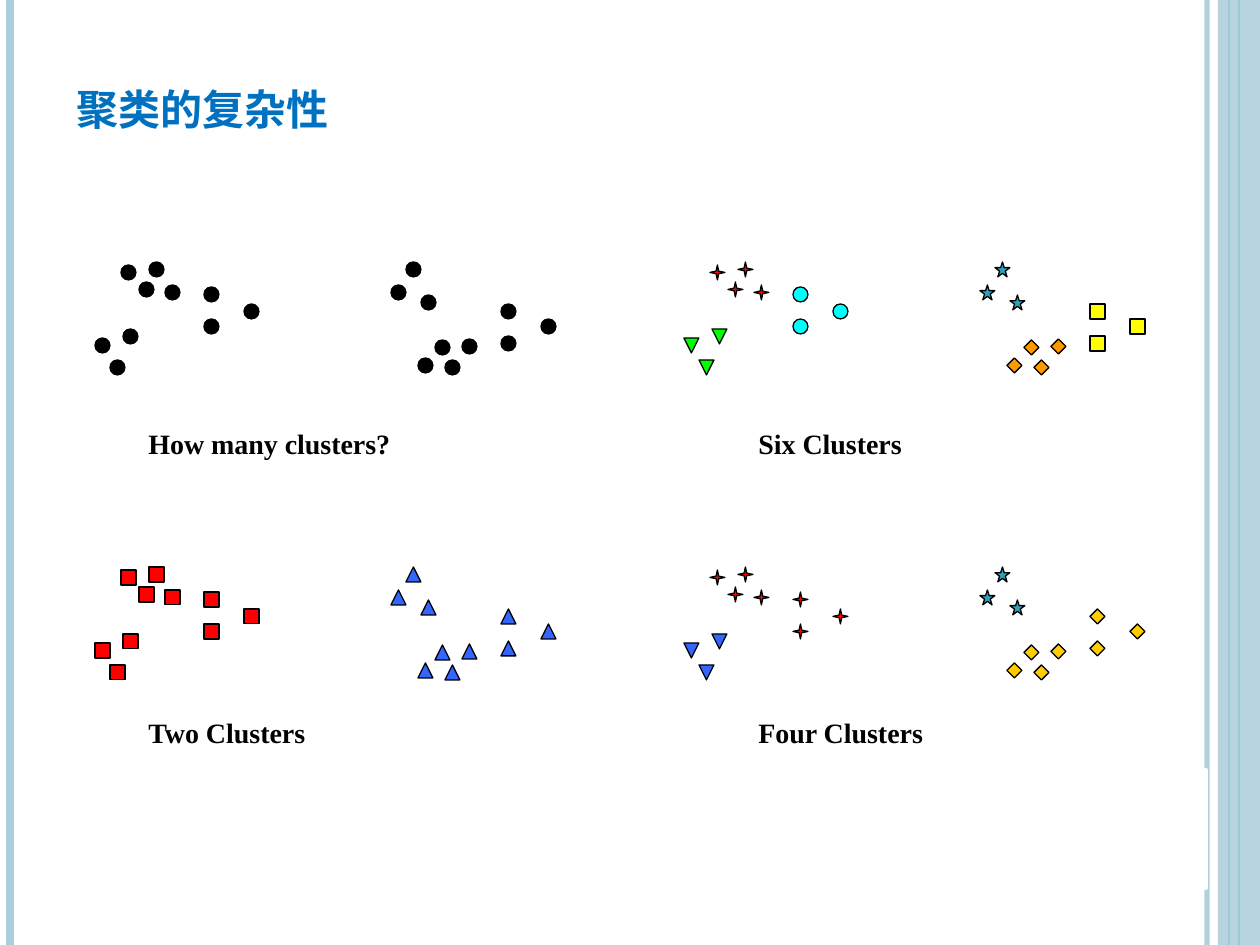
from lxml import etree
from pptx import Presentation
from pptx import util as u
from pptx.dml.color import RGBColor
from pptx.enum import shapes, text
from pptx.oxml.ns import qn

PIXEL = 914400 // 126
WIDTH, HEIGHT = 1260, 945
MARKER = 15

BLACK = RGBColor(0x00, 0x00, 0x00)
WHITE = RGBColor(0xFF, 0xFF, 0xFF)
TITLE_BLUE = RGBColor(0x00, 0x70, 0xC0)
PALE_BLUE = RGBColor(0xAD, 0xCE, 0xDC)
TEAL = RGBColor(0x2D, 0xA2, 0xBF)
RED = RGBColor(0xFF, 0x00, 0x00)
BLUE = RGBColor(0x33, 0x66, 0xFF)
GREEN = RGBColor(0x00, 0xFF, 0x00)
CYAN = RGBColor(0x00, 0xFF, 0xFF)
YELLOW = RGBColor(0xFF, 0xFF, 0x00)
ORANGE = RGBColor(0xFF, 0x99, 0x00)
GOLD = RGBColor(0xFF, 0xCC, 0x00)

presentation = Presentation()
presentation.slide_width = u.Emu(914400 * 10)
presentation.slide_height = u.Emu(914400 * 15 // 2)
slide = presentation.slides.add_slide(presentation.slide_layouts[5])


def box(*pixels):
    return [u.Emu(pixel * PIXEL) for pixel in pixels]


def add_filled(kind, place, fill, line=None, line_width=0.75):
    shape = slide.shapes.add_shape(kind, *box(*place))
    shape.shadow.inherit = False
    shape.fill.solid()
    shape.fill.fore_color.rgb = fill
    if line is None:
        shape.line.fill.background()
    else:
        shape.line.color.rgb = line
        shape.line.width = u.Pt(line_width)
    return shape


# Frame: vertical rules and the translucent band on the right edge
rules = [(1207, PALE_BLUE, 3, 93), (10, PALE_BLUE, 4.5, 100), (1239, TEAL, 0.75, 100),
         (1229, TEAL, 1.5, 100)]
translucent = []
for x, color, width, opacity in rules:
    if x == 1229:
        rule_band_index = len(slide.shapes)
    rule = slide.shapes.add_connector(shapes.MSO_CONNECTOR.STRAIGHT,
                                      *box(x, 0, x, HEIGHT))
    rule.line.color.rgb = color
    rule.line.width = u.Pt(width)
    etree.SubElement(rule._element.spPr, qn("a:effectLst"))
    translucent.append((rule, opacity))
band = add_filled(shapes.MSO_SHAPE.RECTANGLE, (1218, 0, WIDTH - 1218, HEIGHT), PALE_BLUE)
translucent.append((band, 87))
for shape, opacity in translucent:
    if opacity < 100:
        color = next(shape._element.spPr.iter(qn("a:srgbClr")))
        etree.SubElement(color, qn("a:alpha"), val=str(opacity * 1000))

# Title
title = slide.shapes.title
title.left, title.top, title.width, title.height = box(64, 66, 1142, 76)
title.text_frame.vertical_anchor = text.MSO_ANCHOR.BOTTOM
paragraph = title.text_frame.paragraphs[0]
paragraph.alignment = text.PP_ALIGN.LEFT
run = paragraph.add_run()
run.text = "聚类的复杂性"
run.font.name = "Cambria"
run.font.size = u.Pt(30)
run.font.bold = True
run.font.color.rgb = TITLE_BLUE
run.font._element.set("cap", "small")

# The six natural point groups, shared by all four panels
point_groups = [
    [(121, 265), (149, 262), (139, 282), (165, 285)],
    [(123, 329), (95, 338), (110, 360)],
    [(204, 287), (244, 304), (204, 319)],
    [(406, 262), (391, 285), (421, 295)],
    [(435, 340), (462, 339), (418, 358), (445, 360)],
    [(501, 304), (501, 336), (541, 319)],
]

# Marker styles
kind = shapes.MSO_SHAPE
dot = (kind.OVAL, BLACK)
red_square = (kind.RECTANGLE, RED)
blue_triangle = (kind.ISOSCELES_TRIANGLE, BLUE)
red_star = (kind.STAR_4_POINT, RED)
teal_star = (kind.STAR_5_POINT, TEAL)
gold_diamond = (kind.DIAMOND, GOLD)

# Panels: column, row, label, marker style for each point group
panels = [
    (0, 0, "How many clusters?", [dot] * 6),
    (1, 0, "Six Clusters", [red_star, (kind.FLOWCHART_MERGE, GREEN), (kind.OVAL, CYAN),
                            teal_star, (kind.DIAMOND, ORANGE), (kind.RECTANGLE, YELLOW)]),
    (0, 1, "Two Clusters", [red_square] * 3 + [blue_triangle] * 3),
    (1, 1, "Four Clusters", [red_star, (kind.FLOWCHART_MERGE, BLUE), red_star,
                             teal_star, gold_diamond, gold_diamond]),
]
for column, row, label, styles in panels:
    for points, (marker_kind, fill) in zip(point_groups, styles):
        for x, y in points:
            marker = add_filled(marker_kind,
                                (x + 589 * column, y + 305 * row, MARKER, MARKER),
                                fill, BLACK)
            if marker_kind == kind.STAR_4_POINT:
                marker.adjustments[0] = 0.125
    caption = slide.shapes.add_textbox(*box(136 + 610 * column, 420 + 289 * row, 315, 47))
    caption.text_frame.word_wrap = True
    run = caption.text_frame.paragraphs[0].add_run()
    run.text = label
    run.font.name = "Times New Roman"
    run.font.size = u.Pt(16)
    run.font.bold = True
    run.font.color.rgb = BLACK

# White block over the lower part of the right rule
add_filled(kind.RECTANGLE, (1096, 770, 110, 118), WHITE, WHITE, 2)

presentation.save("out.pptx")
